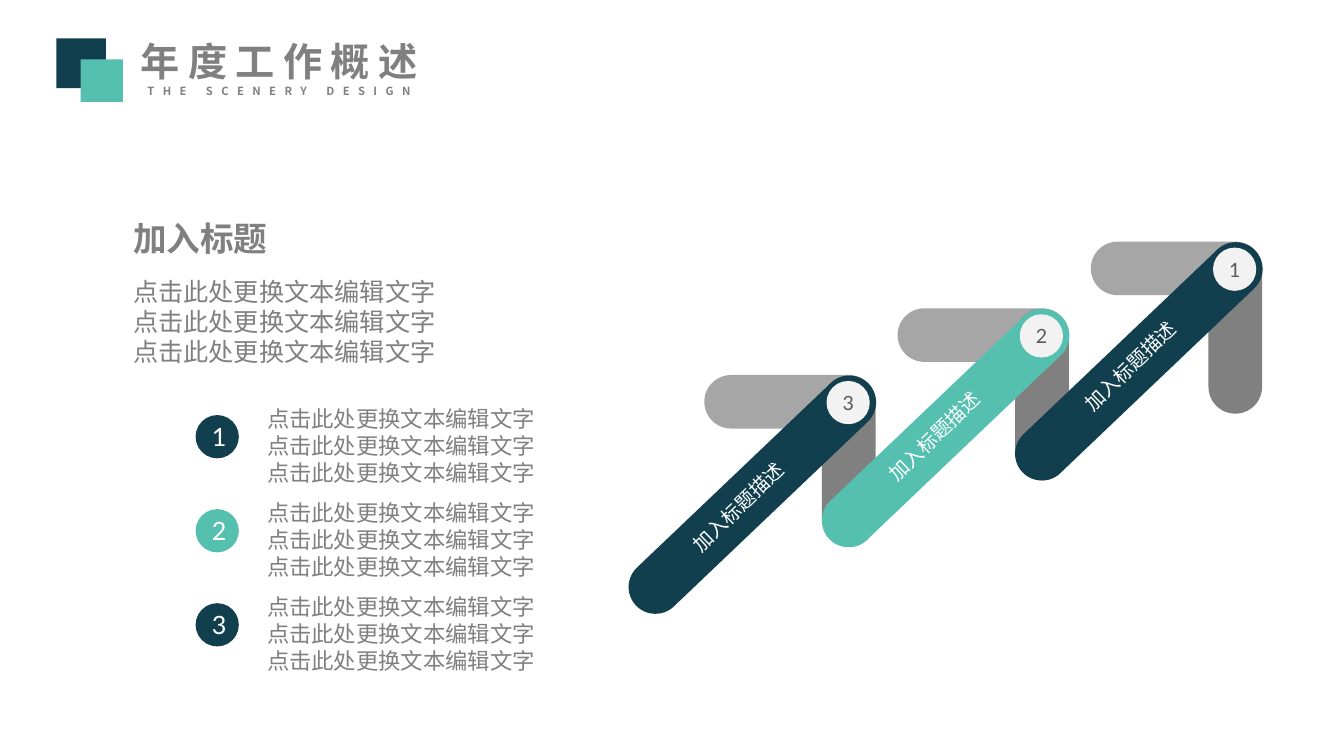
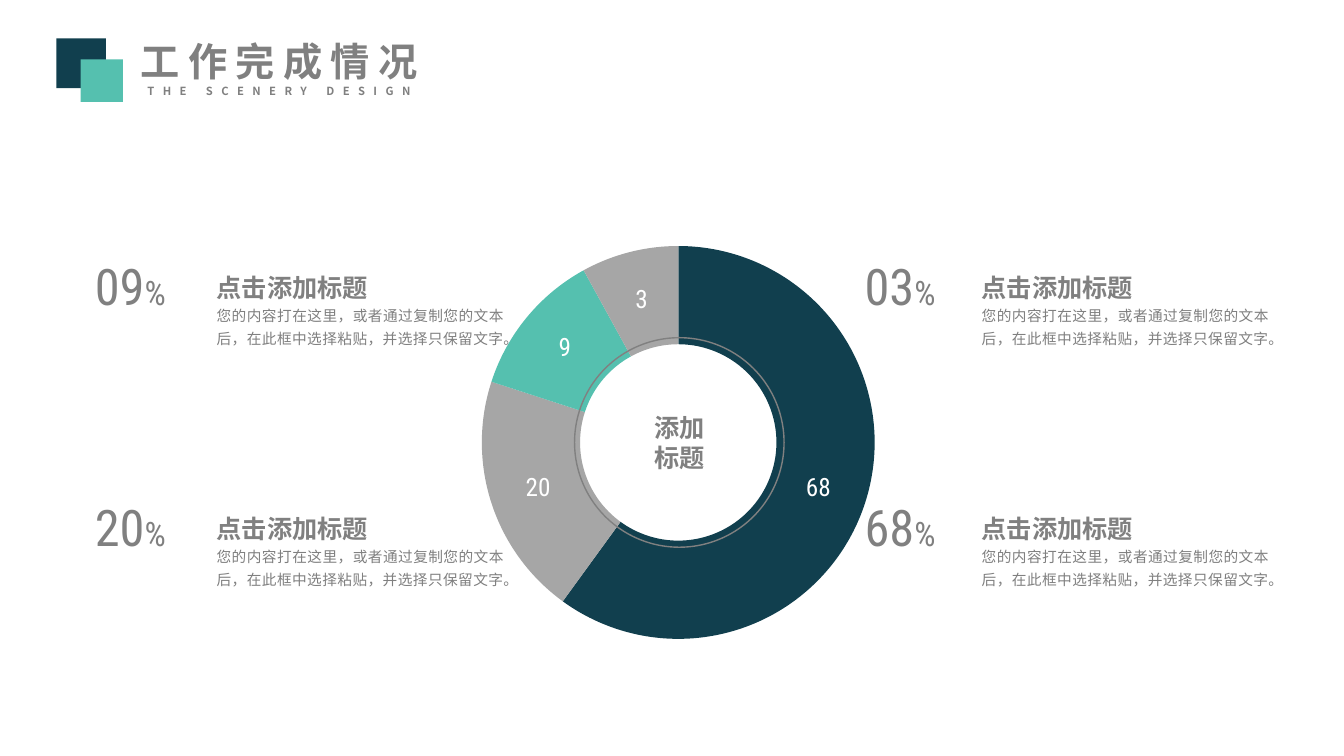
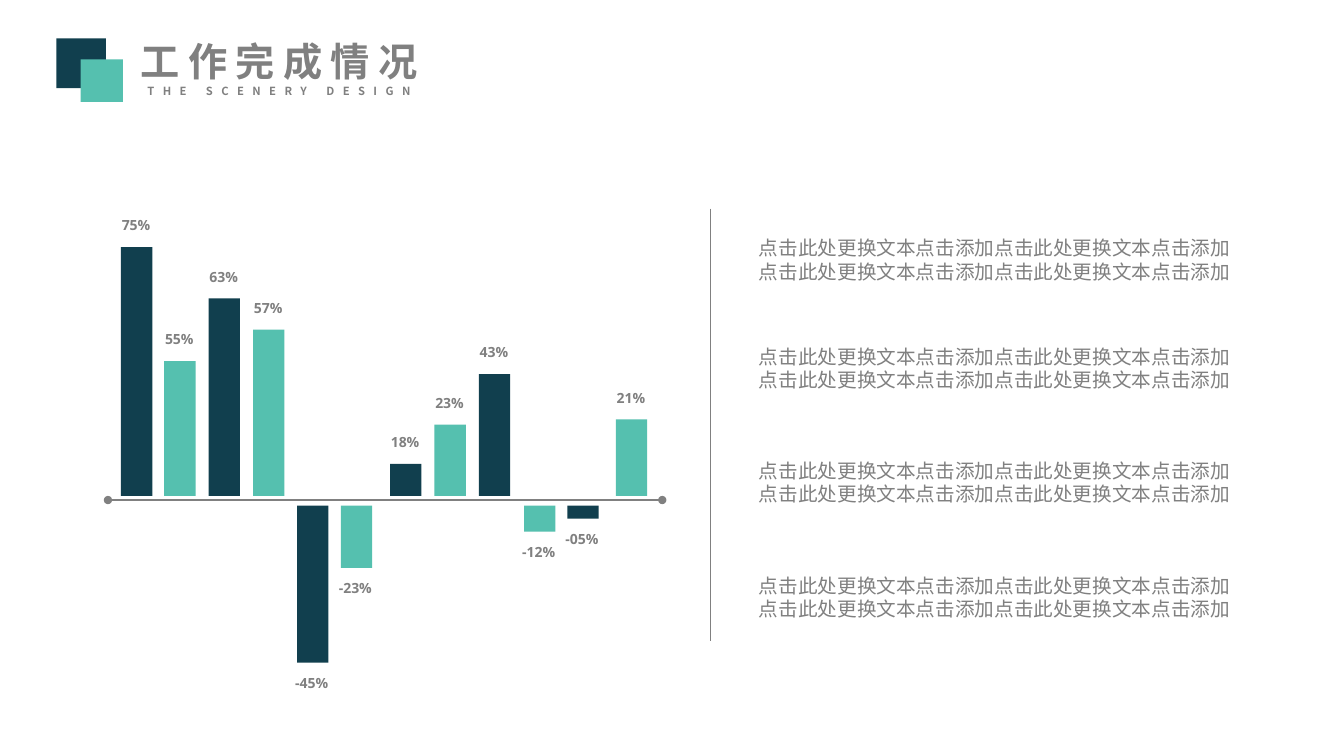
"""Build a three-slide annual work report with python-pptx."""
from lxml.etree import SubElement
from pptx import Presentation
from pptx.chart.data import CategoryChartData
from pptx.dml.color import RGBColor
from pptx.enum.chart import XL_CHART_TYPE
from pptx.enum.shapes import MSO_CONNECTOR, MSO_SHAPE
from pptx.enum.text import MSO_ANCHOR, MSO_AUTO_SIZE, PP_ALIGN
from pptx.oxml import parse_xml
from pptx.oxml.ns import nsdecls, qn
from pptx.util import Cm, Pt

COLORS = {
    "navy": "113F4E",
    "teal": "55C0AF",
    "gray": "808080",
    "silver": "A6A6A6",
    "pale": "F2F2F2",
    "ink": "595959",
    "white": "FFFFFF",
}
CJK = "Noto Sans CJK SC"
LATO = "Lato"
OPEN = "Open Sans"
ROBOTO = "Roboto Condensed"


def draw(slide, kind, box, fill):
    """Add a flat preset shape; box is left, top, width, height in cm."""
    shape = slide.shapes.add_shape(kind, *map(Cm, box))
    shape.shadow.inherit = False
    shape.line.fill.background()
    if fill:
        shape.fill.solid()
        shape.fill.fore_color.rgb = RGBColor.from_string(COLORS[fill])
    else:
        shape.fill.background()
    return shape


def write(frame, lines, size, color="gray", face=CJK, bold=False, align=PP_ALIGN.LEFT, wrap=True):
    """Fill a text frame with equally formatted paragraphs without bullets."""
    frame.text = "\n".join(lines)
    frame.word_wrap = wrap
    frame.auto_size = MSO_AUTO_SIZE.NONE
    for paragraph in frame.paragraphs:
        properties = paragraph._p.get_or_add_pPr()
        properties.set("marL", "0")
        properties.set("indent", "0")
        SubElement(properties, qn("a:buNone"))
        paragraph.alignment = align
        paragraph.space_before = Pt(0)
        font = paragraph.font
        font.name, font.size, font.bold = face, Pt(size), bold
        font.color.rgb = RGBColor.from_string(COLORS[color])
        SubElement(font._element, qn("a:ea")).set("typeface", face)


presentation = Presentation()
presentation.slide_width = Cm(33.87)
presentation.slide_height = Cm(19.05)

TITLE_ONLY, TITLE_AND_CONTENT, COMPARISON = 5, 1, 4
slides = []
for title, layout in [
    ("年度工作概述", TITLE_AND_CONTENT),
    ("工作完成情况", TITLE_ONLY),
    ("工作完成情况", COMPARISON),
]:
    slide = presentation.slides.add_slide(presentation.slide_layouts[layout])
    heading = slide.shapes.title
    heading.left, heading.top, heading.width, heading.height = map(Cm, (3.15, 0.81, 7.77, 1.8))
    heading.text_frame.vertical_anchor = MSO_ANCHOR.TOP
    write(heading.text_frame, [title, "THE SCENERY DESIGN"], 28, bold=True, align=PP_ALIGN.CENTER, wrap=False)
    heading.text_frame.paragraphs[1].font.size = Pt(8)
    for paragraph in heading.text_frame.paragraphs:
        paragraph.font._element.set("spc", "600")
    draw(slide, MSO_SHAPE.RECTANGLE, (1.42, 0.97, 1.25, 1.25), "navy")
    draw(slide, MSO_SHAPE.RECTANGLE, (2.03, 1.5, 1.07, 1.07), "teal")
    slides.append(slide)

overview, completion, trend = slides

for index, color in enumerate(["navy", "teal", "navy"]):
    x, y = 17.75 + 4.87 * index, 9.45 - 1.68 * index
    for dx, dy, length, angle, fill in [
        (0, 0, 4.32, 0, "silver"),
        (1.48, 1.5, 4.32, 90, "gray"),
        (-2.84, 2.34, 8.1, 136.4, color),
    ]:
        bar = draw(overview, MSO_SHAPE.ROUNDED_RECTANGLE, (x + dx, y + dy, length, 1.35), fill)
        bar.adjustments[0] = 0.5
        bar.rotation = angle
    badge = draw(overview, MSO_SHAPE.OVAL, (x + 3.08, y + 0.15, 1.09, 1.09), "pale")
    write(badge.text_frame, [str(3 - index)], 14, "ink", LATO, align=PP_ALIGN.CENTER)
    label_box = (16.87 + 4.94 * index, 12.34 - 1.78 * index, 3.5, 0.86)
    label = overview.shapes.add_textbox(*map(Cm, label_box))
    label.rotation = 316
    write(label.text_frame, ["加入标题描述"], 14, "white", OPEN, wrap=False)

body_lines = ["点击此处更换文本编辑文字"] * 3
body = overview.placeholders[1]
body.left, body.top, body.width, body.height = map(Cm, (3.1, 5.36, 13.11, 4.06))
write(body.text_frame, ["加入标题"] + body_lines, 18)
lead = body.text_frame.paragraphs[0]
lead.font.size = Pt(24)
lead.font.bold = True
lead.space_after = Pt(13)

for index, color in enumerate(["navy", "teal", "navy"]):
    offset = 2.37 * index
    badge = draw(overview, MSO_SHAPE.OVAL, (4.93, 10.46 + offset, 1.09, 1.09), color)
    write(badge.text_frame, [str(index + 1)], 18, "white", LATO, align=PP_ALIGN.CENTER)
    note = overview.shapes.add_textbox(*map(Cm, (6.48, 10.08 + offset, 8.43, 2.31)))
    write(note.text_frame, body_lines, 16)

chart_data = CategoryChartData()
chart_data.categories = [""] * 4
chart_data.add_series("Series 1", [60, 20, 12, 8])
chart_box = map(Cm, (11.46, 5.84, 11.38, 10.62))
chart = completion.shapes.add_chart(XL_CHART_TYPE.DOUGHNUT, *chart_box, chart_data).chart
chart.has_legend = False
chart.has_title = False
chart.font.name, chart.font.size = ROBOTO, Pt(18)
chart.font.color.rgb = RGBColor.from_string(COLORS["white"])
plot = chart.plots[0]
plot.vary_by_categories = True
plot.has_data_labels = True
plot.data_labels.show_value = True
plot.data_labels.show_percentage = False
for index, (color, text) in enumerate([("navy", "68"), ("silver", "20"), ("teal", "9"), ("silver", "3")]):
    point = plot.series[0].points[index]
    point.format.fill.solid()
    point.format.fill.fore_color.rgb = RGBColor.from_string(COLORS[color])
    point.format.line.fill.background()
    frame = point.data_label.text_frame
    frame.text = text
    font = frame.paragraphs[0].runs[0].font
    font.name, font.size = ROBOTO, Pt(18)
    font.color.rgb = RGBColor.from_string(COLORS["white"])

plot_area = chart._chartSpace.find(".//" + qn("c:plotArea"))
for layout in plot_area.findall(qn("c:layout")):
    plot_area.remove(layout)
plot_area.insert(0, parse_xml(
    f'<c:layout {nsdecls("c")}><c:manualLayout><c:layoutTarget val="inner"/>'
    '<c:xMode val="edge"/><c:yMode val="edge"/><c:x val="0.06"/><c:y val="0.03"/>'
    '<c:w val="0.87"/><c:h val="0.94"/></c:manualLayout></c:layout>'
))

ring = draw(completion, MSO_SHAPE.OVAL, (14.48, 8.51, 5.28, 5.28), None)
ring.line.color.rgb = RGBColor.from_string(COLORS["gray"])
ring.line.width = Pt(1)
write(ring.text_frame, ["添加", "标题"], 18, bold=True, align=PP_ALIGN.CENTER)

detail_text = "您的内容打在这里，或者通过复制您的文本后，在此框中选择粘贴，并选择只保留文字。"
for number, number_left, text_left, top in [
    ("09", 2.24, 5.31, 6.35),
    ("03", 21.64, 24.59, 6.35),
    ("20", 2.24, 5.31, 12.42),
    ("68", 21.64, 24.59, 12.42),
]:
    percent, detail, caption = [
        completion.shapes.add_textbox(*map(Cm, box)).text_frame
        for box in [
            (number_left, top, 2.26, 1.68),
            (text_left, top + 1.17, 7.54, 1.32),
            (text_left, top + 0.13, 6.43, 1.14),
        ]
    ]
    for frame, margin in [(percent, 0.08), (detail, 0.08), (caption, 0)]:
        frame.margin_left = frame.margin_right = Cm(0.15)
        frame.margin_top = frame.margin_bottom = Cm(margin)
    write(percent, [number], 36, face=ROBOTO, wrap=False)
    sign = percent.paragraphs[0].add_run()
    sign.text = "%"
    sign.font.size = Pt(24)
    write(detail, [detail_text], 10.5, align=PP_ALIGN.JUSTIFY)
    detail.paragraphs[0].line_spacing = 1.3
    write(caption, ["点击添加标题"], 18, bold=True)
    caption.paragraphs[0].line_spacing = 1.5

BASELINE = 12.6
for index, (text, left, height) in enumerate([
    ("75%", 3.05, 6.27),
    ("55%", 4.14, 3.4),
    ("63%", 5.26, 4.98),
    ("57%", 6.38, 4.19),
    ("-45%", 7.49, 3.96),
    ("-23%", 8.59, 1.57),
    ("18%", 9.83, 0.81),
    ("23%", 10.95, 1.8),
    ("43%", 12.07, 3.07),
    ("-12%", 13.21, 0.66),
    ("-05%", 14.3, 0.33),
    ("21%", 15.52, 1.93),
]):
    if text.startswith("-"):
        top = BASELINE + 0.14
        label_box = (left - 0.3, top + height + 0.18, 1.37, 0.69)
    else:
        top = BASELINE - 0.1 - height
        label_box = (left - 0.23, top - 0.89, 1.24, 0.69)
    draw(trend, MSO_SHAPE.RECTANGLE, (left, top, 0.79, height), ("navy", "teal")[index % 2])
    label = trend.shapes.add_textbox(*map(Cm, label_box))
    write(label.text_frame, [text], 10, face=OPEN, bold=True, wrap=False)

for ends, width, tips in [
    ((2.72, BASELINE, 16.69, BASELINE), 1, ["a:headEnd", "a:tailEnd"]),
    ((17.91, 5.26, 17.91, 16.15), 0.5, []),
]:
    line = trend.shapes.add_connector(MSO_CONNECTOR.STRAIGHT, *map(Cm, ends))
    line.line.color.rgb = RGBColor.from_string(COLORS["gray"])
    line.line.width = Pt(width)
    for tip in tips:
        SubElement(line.line._get_or_add_ln(), qn(tip)).set("type", "oval")
    SubElement(line._element.spPr, qn("a:effectLst"))

for index, top in enumerate([5.82, 8.56, 11.43, 14.33], start=1):
    note = trend.placeholders[index]
    note.left, note.top, note.width, note.height = map(Cm, (18.87, top, 13.74, 2.06))
    note.text_frame.vertical_anchor = MSO_ANCHOR.TOP
    write(note.text_frame, ["点击此处更换文本点击添加点击此处更换文本点击添加"] * 2, 14)

presentation.save("out.pptx")
